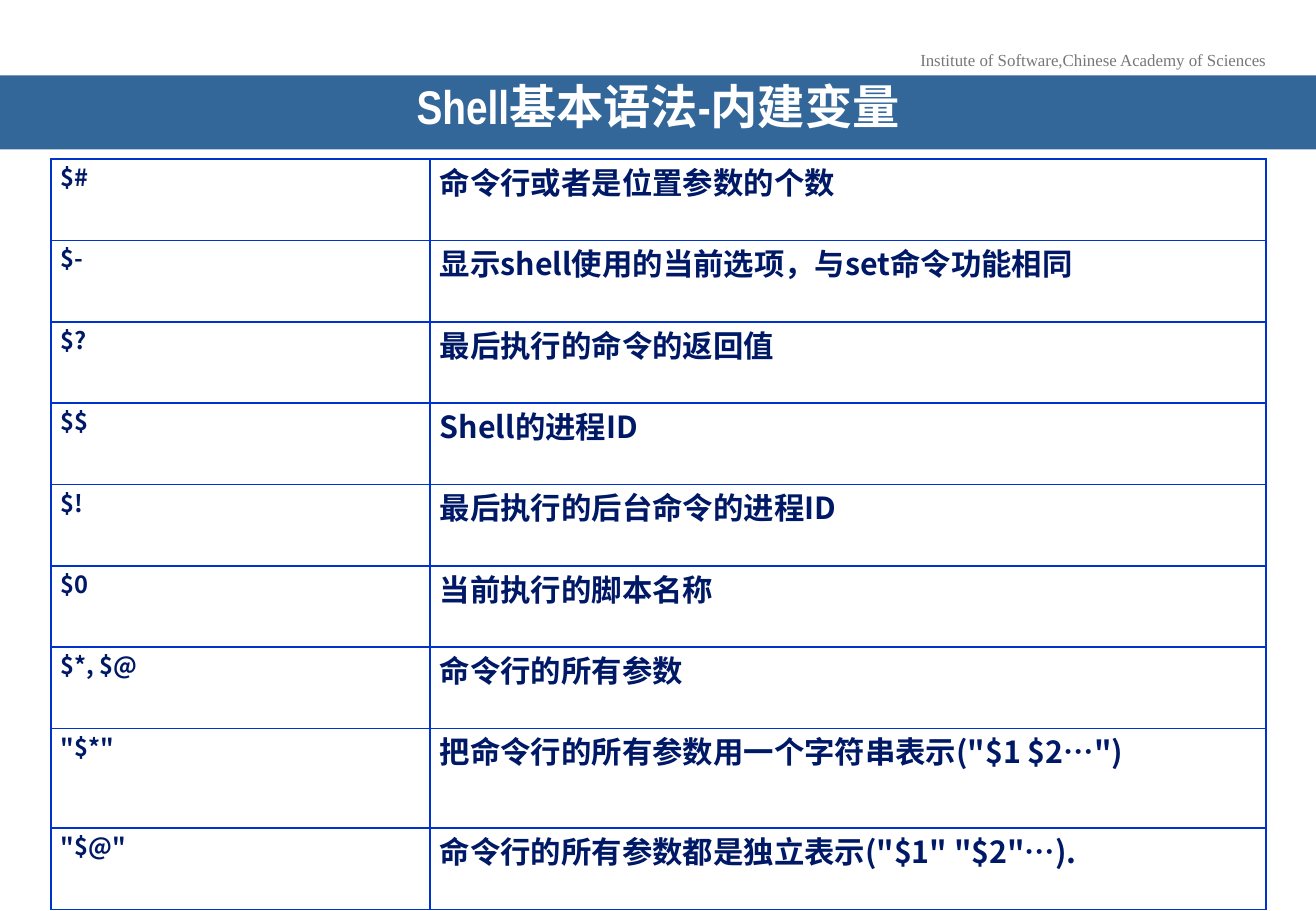
"""Builds a slide with a table of the shell's built-in variables."""
import pptx
import pptx.dml.color
import pptx.enum.text
import pptx.oxml
import pptx.oxml.ns
import pptx.util
from pptx.util import Inches

CJK_FONT = "Noto Sans CJK SC"
BORDER_COLOR = "0033CC"
TEXT_COLOR = "001966"
ALIGN = pptx.enum.text.PP_ALIGN
ANCHOR = pptx.enum.text.MSO_ANCHOR
AUTO_SIZE = pptx.enum.text.MSO_AUTO_SIZE

VARIABLES = [
    ("$#", "命令行或者是位置参数的个数"),
    ("$-", "显示shell使用的当前选项，与set命令功能相同"),
    ("$?", "最后执行的命令的返回值"),
    ("$$", "Shell的进程ID"),
    ("$!", "最后执行的后台命令的进程ID"),
    ("$0", "当前执行的脚本名称"),
    ("$*, $@", "命令行的所有参数"),
    ('"$*"', '把命令行的所有参数用一个字符串表示("$1 $2…")'),
    ('"$@"', '命令行的所有参数都是独立表示("$1" "$2"…).'),
]
COLUMN_WIDTHS = (3.12, 6.88)
COLUMN_SIZES = (14, 18)
ROW_HEIGHT = 0.67
TALL_ROW, TALL_ROW_HEIGHT = 7, 0.82


def color(hex_string):
    return pptx.dml.color.RGBColor.from_string(hex_string)


def paint(target, hex_string):
    target.fill.solid()
    target.fill.fore_color.rgb = color(hex_string)


def add_run(paragraph, text, size, font_name, hex_string, bold=False):
    run = paragraph.add_run()
    run.text = text
    run.font.size = pptx.util.Pt(size)
    run.font.name = font_name
    run.font.bold = bold
    run.font.color.rgb = color(hex_string)
    properties = run.font._element
    properties.set("lang", "zh-CN")
    east_asian = pptx.oxml.parse_xml(
        f'<a:ea {pptx.oxml.ns.nsdecls("a")} typeface="{CJK_FONT}"/>')
    properties.find(pptx.oxml.ns.qn("a:latin")).addnext(east_asian)


def set_margins(target, horizontal, vertical):
    target.margin_left = target.margin_right = Inches(horizontal)
    target.margin_top = target.margin_bottom = Inches(vertical)


def add_institute(slide):
    box = slide.shapes.add_textbox(
        Inches(7.46), Inches(0.36), Inches(3.07), Inches(0.27))
    frame = box.text_frame
    frame.word_wrap = False
    frame.auto_size = AUTO_SIZE.SHAPE_TO_FIT_TEXT
    paragraph = frame.paragraphs[0]
    paragraph.alignment = ALIGN.CENTER
    add_run(paragraph, "Institute of Software,Chinese Academy of Sciences",
            10, "Times New Roman", "777777")


def fill_title(slide):
    title = slide.shapes.title
    title.left, title.top = Inches(0), Inches(0.62)
    title.width, title.height = Inches(10.83), Inches(0.61)
    paint(title, "336699")
    frame = title.text_frame
    frame.auto_size = AUTO_SIZE.NONE
    frame.word_wrap = True
    frame.vertical_anchor = ANCHOR.MIDDLE
    set_margins(frame, 0.31, 0.05)
    paragraph = frame.paragraphs[0]
    paragraph.alignment = ALIGN.CENTER
    paragraph.line_spacing = 0.7
    add_run(paragraph, "Shell基本语法-内建变量", 28, "Arial Narrow",
            "FFFFFF", bold=True)


def add_borders(cell):
    properties = cell._tc.get_or_add_tcPr()
    for side in ("lnL", "lnR", "lnT", "lnB"):
        properties.append(pptx.oxml.parse_xml(
            f'<a:{side} {pptx.oxml.ns.nsdecls("a")} w="{pptx.util.Pt(1)}">'
            f'<a:solidFill><a:srgbClr val="{BORDER_COLOR}"/></a:solidFill>'
            f'</a:{side}>'))


def fill_cell(cell, text, size):
    add_borders(cell)
    paint(cell, "FFFFFF")
    set_margins(cell, 0.08, 0)
    cell.vertical_anchor = ANCHOR.TOP
    paragraph = cell.text_frame.paragraphs[0]
    paragraph.alignment = ALIGN.JUSTIFY
    add_run(paragraph, text, size, CJK_FONT, TEXT_COLOR, bold=True)


def add_variable_table(slide):
    table = slide.shapes.add_table(
        len(VARIABLES), len(COLUMN_WIDTHS), Inches(0.42), Inches(1.31),
        Inches(10), Inches(6.18)).table
    table.first_row = table.horz_banding = False
    for column, width in zip(table.columns, COLUMN_WIDTHS):
        column.width = Inches(width)
    for row in table.rows:
        row.height = Inches(ROW_HEIGHT)
    table.rows[TALL_ROW].height = Inches(TALL_ROW_HEIGHT)
    for row, texts in zip(table.rows, VARIABLES):
        for cell, text, size in zip(row.cells, texts, COLUMN_SIZES):
            fill_cell(cell, text, size)


def main():
    presentation = pptx.Presentation()
    presentation.slide_width = Inches(10.83)
    presentation.slide_height = Inches(7.5)
    slide = presentation.slides.add_slide(presentation.slide_layouts[5])
    add_institute(slide)
    fill_title(slide)
    add_variable_table(slide)
    presentation.save("out.pptx")


if __name__ == "__main__":
    main()
